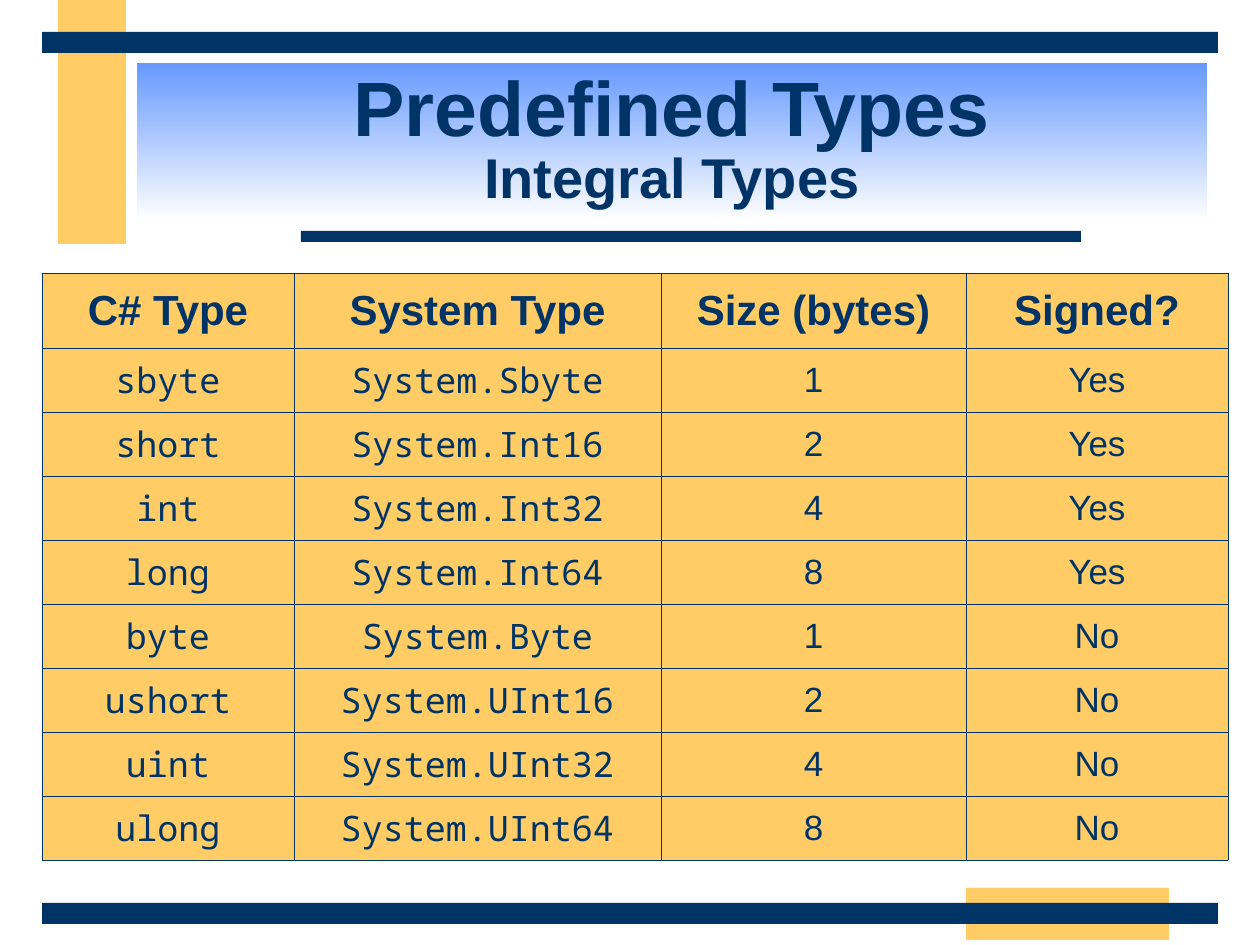
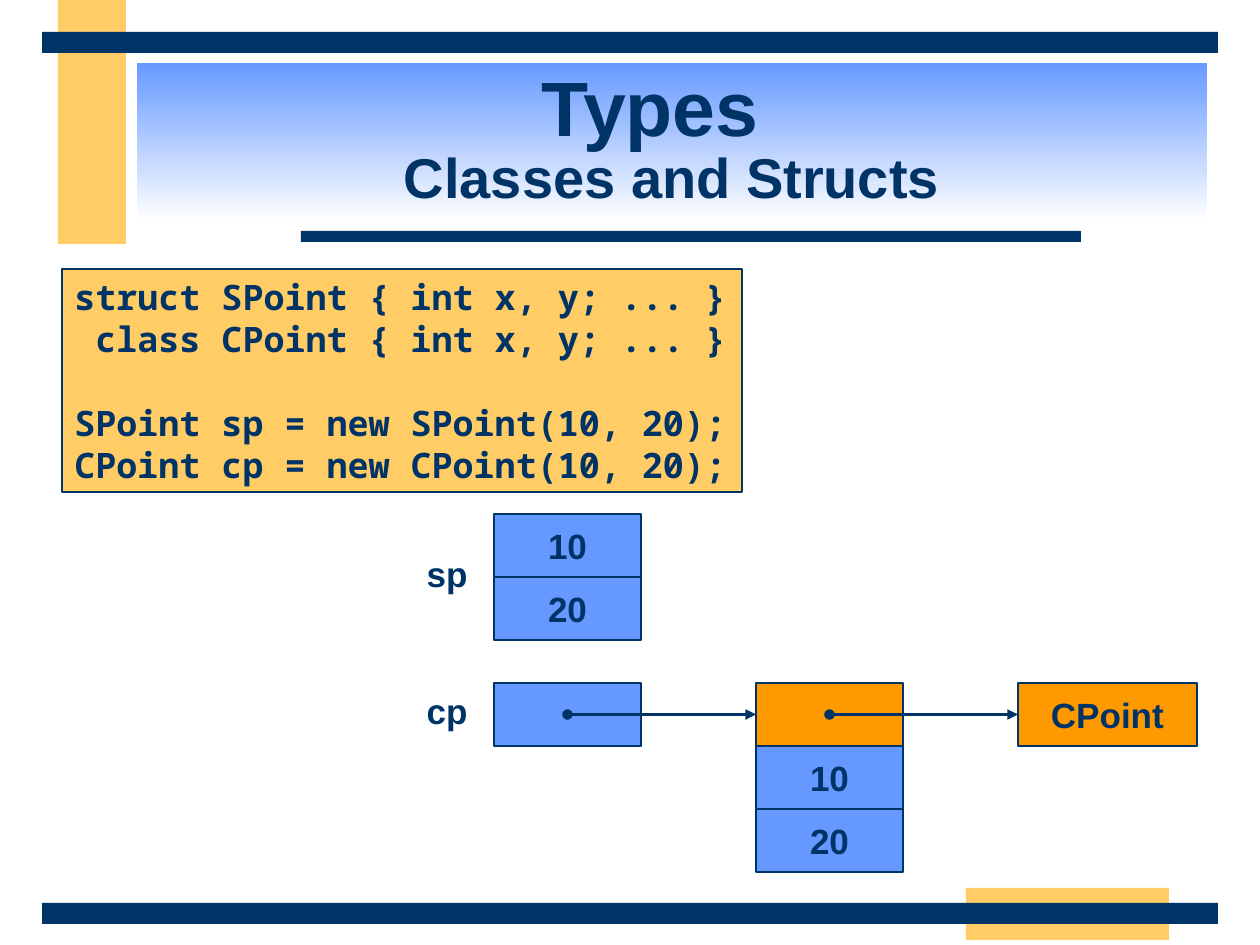
from dataclasses import dataclass

from lxml.etree import SubElement
from pptx import Presentation
from pptx.dml.color import RGBColor
from pptx.enum.shapes import MSO_CONNECTOR as Connector, MSO_SHAPE as Shape
from pptx.enum.text import MSO_ANCHOR as Anchor, PP_ALIGN as Align
from pptx.oxml.ns import qn
from pptx.util import Emu, Pt

PX = 914400 / 126
COLORS = {"navy": "003366", "sand": "FFCC66", "blue": "6699FF",
          "orange": "FF9900", "white": "FFFFFF"}
SANS, MONO = "Arial", "Noto Sans Mono"


@dataclass(frozen=True)
class Rect:
    """A filled rectangle in px, with an optional outline and label."""
    left: int
    top: int
    width: int
    height: int
    color: str
    outlined: bool = False
    label: str = ""


@dataclass(frozen=True)
class Title:
    """A two-line heading; shift is the room kept right of the first line."""
    heading: str
    topic: str
    shift: int = 0


BANDS = [
    Rect(58, 0, 68, 244, "sand"),
    Rect(966, 888, 203, 52, "sand"),
    Rect(301, 231, 780, 11, "navy"),
    Rect(42, 903, 1176, 21, "navy"),
    Rect(42, 32, 1176, 21, "navy"),
]

HEADERS = ["C# Type", "System Type", "Size (bytes)", "Signed?"]
COLUMN_WIDTHS = [252, 367, 305, 262]
HEADER_HEIGHT, ROW_HEIGHT = 75, 64
INTEGRAL_TYPES = [
    ("sbyte", "System.Sbyte", "1", "Yes"),
    ("short", "System.Int16", "2", "Yes"),
    ("int", "System.Int32", "4", "Yes"),
    ("long", "System.Int64", "8", "Yes"),
    ("byte", "System.Byte", "1", "No"),
    ("ushort", "System.UInt16", "2", "No"),
    ("uint", "System.UInt32", "4", "No"),
    ("ulong", "System.UInt64", "8", "No"),
]

CODE = [
    ("struct SPoint { int x, y; ... }", 0),
    (" class CPoint { int x, y; ... }", 0),
    ("SPoint sp = new SPoint(10, 20);", 24),
    ("CPoint cp = new CPoint(10, 20);", 0),
]
SLOT_WIDTH, SLOT_HEIGHT = 147, 63
STACK_X, HEAP_X, TYPE_X = (494 + 262 * step for step in range(3))
VALUE_Y, REFERENCE_Y = 514, 683


def px(length: int) -> Emu:
    """Turn px into EMU."""
    return Emu(round(length * PX))


def rgb(name: str) -> RGBColor:
    """Look up a named colour."""
    return RGBColor.from_string(COLORS[name])


def write(frame, text: str, size: int = 20, font: str = SANS, bold: bool = True,
          align=Align.CENTER, before: float = 0, spacing: float = 1.0):
    """Add one formatted paragraph, filling the first one if it is free."""
    para = frame.paragraphs[0]
    if para.runs:
        para = frame.add_paragraph()
    para.alignment = align
    para.space_before = Pt(before)
    para.line_spacing = spacing
    span = para.add_run()
    span.text = text
    span.font.size = Pt(size)
    span.font.name = font
    span.font.bold = bold
    span.font.color.rgb = rgb("navy")
    return para


def draw_rect(page, rect: Rect):
    """Draw a rectangle and its label."""
    box = page.shapes.add_shape(Shape.RECTANGLE, px(rect.left), px(rect.top),
                                px(rect.width), px(rect.height))
    box.shadow.inherit = False
    box.fill.solid()
    box.fill.fore_color.rgb = rgb(rect.color)
    if rect.outlined:
        box.line.color.rgb = rgb("navy")
        box.line.width = Pt(1)
    else:
        box.line.fill.background()
    if rect.label:
        box.text_frame.word_wrap = False
        box.text_frame.vertical_anchor = Anchor.MIDDLE
        write(box.text_frame, rect.label)
    return box


def draw_title(page, title: Title) -> None:
    """Draw the gradient title panel."""
    panel = draw_rect(page, Rect(137, 63, 1070, 158, "blue"))
    panel.fill.gradient()
    panel.fill.gradient_angle = 270
    for stop, color in zip(panel.fill.gradient_stops, ("blue", "white")):
        stop.color.rgb = rgb(color)
    frame = panel.text_frame
    frame.word_wrap = True
    frame.vertical_anchor = Anchor.MIDDLE
    frame.margin_right += px(title.shift)
    write(frame, title.heading, size=44, spacing=0.85)
    topic = write(frame, title.topic, size=32, spacing=0.85)
    if title.shift:
        topic._p.get_or_add_pPr().set("marL", str(px(title.shift)))


def add_page(deck, title: Title):
    """Add a page with the shared bands and a title."""
    page = deck.slides.add_slide(deck.slide_layouts[6])
    for band in BANDS:
        draw_rect(page, band)
    draw_title(page, title)
    return page


def style_cell(cell) -> None:
    """Give a cell thin navy borders and a sand fill."""
    properties = cell._tc.get_or_add_tcPr()
    for side in ("a:lnL", "a:lnR", "a:lnT", "a:lnB"):
        line = SubElement(properties, qn(side), w=str(Pt(0.45)))
        fill = SubElement(line, qn("a:solidFill"))
        SubElement(fill, qn("a:srgbClr"), val=COLORS["navy"])
    cell.fill.solid()
    cell.fill.fore_color.rgb = rgb("sand")
    cell.vertical_anchor = Anchor.MIDDLE


def draw_type_table(page) -> None:
    """Draw the table of integral types."""
    rows = [HEADERS, *INTEGRAL_TYPES]
    heights = [HEADER_HEIGHT] + [ROW_HEIGHT] * len(INTEGRAL_TYPES)
    table = page.shapes.add_table(len(rows), len(HEADERS), px(42), px(273),
                                  px(sum(COLUMN_WIDTHS)), px(sum(heights))).table
    table.first_row = table.horz_banding = False
    for column, width in zip(table.columns, COLUMN_WIDTHS):
        column.width = px(width)
    for row, (texts, height) in enumerate(zip(rows, heights)):
        table.rows[row].height = px(height)
        for column, text in enumerate(texts):
            cell = table.cell(row, column)
            style_cell(cell)
            if row == 0:
                write(cell.text_frame, text, size=24, before=6)
            else:
                write(cell.text_frame, text, bold=False, before=5,
                      font=MONO if column < 2 else SANS)


def draw_slot(page, left: int, top: int, color: str = "blue", label: str = "",
              width: int = SLOT_WIDTH):
    """Draw one memory slot."""
    return draw_rect(page, Rect(left, top, width, SLOT_HEIGHT, color, True, label))


def draw_values(page, left: int, top: int) -> None:
    """Draw the two fields of a point, one below the other."""
    for index, value in enumerate(("10", "20")):
        draw_slot(page, left, top + index * SLOT_HEIGHT, label=value)


def draw_variable(page, name: str, top: int) -> None:
    """Write a variable name left of its slots."""
    box = page.shapes.add_textbox(px(399), px(top), px(81), px(55))
    box.text_frame.word_wrap = True
    box.text_frame.vertical_anchor = Anchor.MIDDLE
    write(box.text_frame, name, align=Align.RIGHT)


def draw_reference(page, source, target) -> None:
    """Draw an arrow from the middle of one slot to the left side of another."""
    middle = source.top + source.height // 2
    arrow = page.shapes.add_connector(
        Connector.STRAIGHT, source.left + source.width // 2, middle,
        target.left, middle)
    arrow.end_connect(target, 1)
    arrow.line.color.rgb = rgb("navy")
    arrow.line.width = Pt(2)
    line = arrow.line._get_or_add_ln()
    SubElement(line, qn("a:headEnd"), type="oval")
    SubElement(line, qn("a:tailEnd"), type="triangle")
    SubElement(arrow._element.spPr, qn("a:effectLst"))


def draw_code(page) -> None:
    """Draw the code listing."""
    box = draw_rect(page, Rect(62, 269, 680, 223, "sand", True))
    box.text_frame.word_wrap = False
    box.text_frame.vertical_anchor = Anchor.TOP
    for text, before in CODE:
        write(box.text_frame, text, font=MONO, align=Align.LEFT, before=before)


def draw_memory(page) -> None:
    """Draw how a struct and a class instance lie in memory."""
    draw_values(page, STACK_X, VALUE_Y)
    draw_variable(page, "sp", 546)
    reference = draw_slot(page, STACK_X, REFERENCE_Y)
    draw_variable(page, "cp", REFERENCE_Y)
    header = draw_slot(page, HEAP_X, REFERENCE_Y, "orange")
    draw_values(page, HEAP_X, REFERENCE_Y + SLOT_HEIGHT)
    class_type = draw_slot(page, TYPE_X, REFERENCE_Y, "orange", "CPoint", 179)
    draw_reference(page, reference, header)
    draw_reference(page, header, class_type)


def main() -> None:
    """Build and save the deck."""
    deck = Presentation()
    deck.slide_width, deck.slide_height = px(1260), px(945)
    draw_type_table(add_page(deck, Title("Predefined Types", "Integral Types")))
    page = add_page(deck, Title("Types", "Classes and Structs", shift=43))
    draw_code(page)
    draw_memory(page)
    deck.save("out.pptx")


if __name__ == "__main__":
    main()
